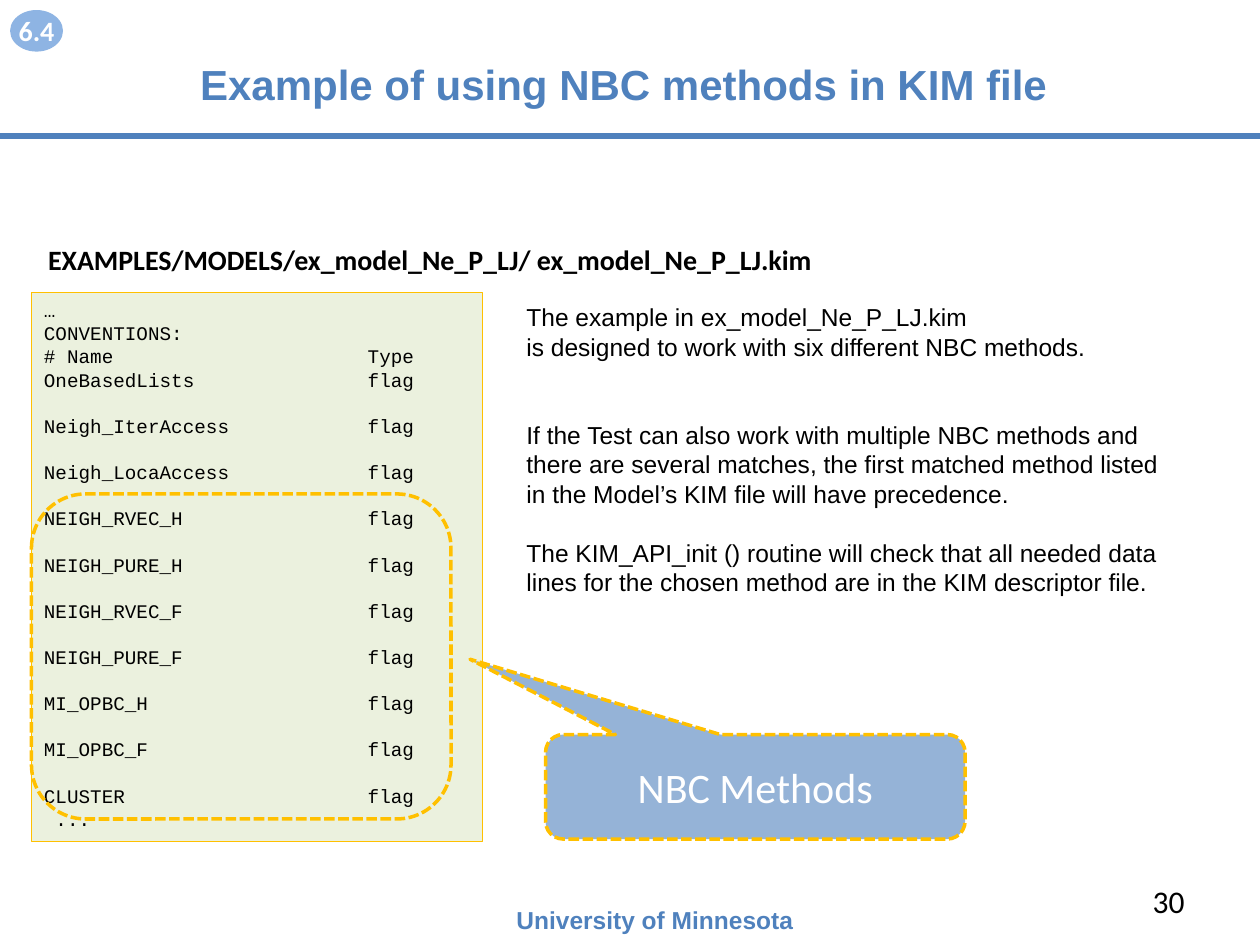
from dataclasses import dataclass

from lxml import etree
from pptx import Presentation
from pptx import util as u
from pptx.dml.color import RGBColor
from pptx.enum import dml, shapes, text
from pptx.oxml import ns

BLUE, GOLD, BLACK, WHITE = "4F81BD", "FFC000", "000000", "FFFFFF"
LEFT, CENTER, RIGHT = text.PP_ALIGN.LEFT, text.PP_ALIGN.CENTER, text.PP_ALIGN.RIGHT
TOP, MIDDLE = text.MSO_ANCHOR.TOP, text.MSO_ANCHOR.MIDDLE
CODE_PITCH, BODY_PITCH = 13.2, 16.8


@dataclass
class Style:
    font: str
    size: float
    color: str = BLACK
    bold: bool = False
    align: int = LEFT
    anchor: int = TOP
    pitch: float = 0


@dataclass
class Line:
    words: str
    blanks_before: int = 0


@dataclass
class Label:
    words: str
    box: tuple
    style: Style


def rgb(value: str) -> RGBColor:
    return RGBColor.from_string(value)


def write(shape, lines: list[Line], style: Style) -> None:
    frame = shape.text_frame
    frame.word_wrap = True
    frame.vertical_anchor = style.anchor
    for index, line in enumerate(lines):
        paragraph = frame.add_paragraph() if index else frame.paragraphs[0]
        paragraph.text = line.words
        paragraph.alignment = style.align
        if style.pitch:
            paragraph.line_spacing = u.Pt(style.pitch)
        if line.blanks_before:
            paragraph.space_before = u.Pt(style.pitch * line.blanks_before)
        for run in paragraph.runs:
            run.font.name = style.font
            run.font.size = u.Pt(style.size)
            run.font.bold = style.bold
            run.font.color.rgb = rgb(style.color)


def add_text(slide, box: tuple, lines: list[Line], style: Style) -> None:
    write(slide.shapes.add_textbox(*map(u.Inches, box)), lines, style)


def add_panel(slide, kind, box: tuple, fill: str = "", line: str = "",
              width: float = 2, dashed: bool = False):
    panel = slide.shapes.add_shape(kind, *map(u.Inches, box))
    panel.shadow.inherit = False
    if fill:
        panel.fill.solid()
        panel.fill.fore_color.rgb = rgb(fill)
    else:
        panel.fill.background()
    if line:
        panel.line.color.rgb = rgb(line)
        panel.line.width = u.Pt(width)
        if dashed:
            panel.line.dash_style = dml.MSO_LINE.SQUARE_DOT
    else:
        panel.line.fill.background()
    return panel


def add_tab_stop(paragraph, position: int) -> None:
    stops = etree.SubElement(paragraph._p.get_or_add_pPr(), ns.qn("a:tabLst"))
    etree.SubElement(stops, ns.qn("a:tab"), pos=str(position), algn="l")


def main() -> None:
    deck = Presentation()
    deck.slide_width, deck.slide_height = u.Inches(10), u.Inches(7.5)
    slide = deck.slides.add_slide(deck.slide_layouts[6])

    # Title rule
    rule = slide.shapes.add_connector(
        shapes.MSO_CONNECTOR.STRAIGHT, 0, u.Inches(1.08), u.Inches(10), u.Inches(1.08))
    rule.line.color.rgb = rgb(BLUE)
    rule.line.width = u.Pt(3)
    etree.SubElement(rule._element.spPr, ns.qn("a:effectLst"))

    # Title, footer, page number and file heading
    labels = [
        Label("Example of using NBC methods in KIM file", (0.45, 0.33, 9, 0.67),
              Style("Arial", 24, BLUE, True, CENTER, MIDDLE)),
        Label("University of Minnesota", (4, 7.13, 2.67, 0.34),
              Style("Arial", 14, BLUE, True)),
        Label("30", (7.17, 6.95, 2.33, 0.4),
              Style("Calibri", 18, align=RIGHT, anchor=MIDDLE)),
        Label("EXAMPLES/MODELS/ex_model_Ne_P_LJ/ ex_model_Ne_P_LJ.kim",
              (0.08, 1.88, 6.67, 0.37), Style("Calibri", 16, bold=True, align=CENTER)),
    ]
    for label in labels:
        add_text(slide, label.box, [Line(label.words)], label.style)

    # KIM file listing
    spaced_flags = ["Neigh_IterAccess", "Neigh_LocaAccess", "NEIGH_RVEC_H",
                    "NEIGH_PURE_H", "NEIGH_RVEC_F", "NEIGH_PURE_F",
                    "MI_OPBC_H", "MI_OPBC_F", "CLUSTER"]
    listing = [Line("…"), Line("CONVENTIONS:"), Line("# Name\tType"),
               Line("OneBasedLists\tflag"),
               *(Line(f"{flag}\tflag", 1) for flag in spaced_flags),
               Line(" ...")]
    kim_file = add_panel(slide, shapes.MSO_SHAPE.RECTANGLE, (0.25, 2.32, 3.58, 4.36),
                         "EBF1DE", GOLD, 0.75)
    write(kim_file, listing, Style("Courier New", 11, pitch=CODE_PITCH))
    for paragraph in kim_file.text_frame.paragraphs:
        if "\t" in paragraph.text:
            add_tab_stop(paragraph, u.Inches(2.57))

    # Explanation
    explanation = [
        Line("The example in ex_model_Ne_P_LJ.kim"),
        Line("is designed to work with six different NBC methods."),
        Line("If the Test can also work with multiple NBC methods and there are several "
             "matches, the first matched method listed in the Model’s KIM file will "
             "have precedence.", 2),
        Line("The KIM_API_init () routine will check that all needed data lines for "
             "the chosen method are in the KIM descriptor file.", 1),
    ]
    add_text(slide, (4.08, 2.35, 5.33, 3.4), explanation,
             Style("Arial", 14, pitch=BODY_PITCH))

    # Outline around the NBC methods and its callout
    add_panel(slide, shapes.MSO_SHAPE.ROUNDED_RECTANGLE, (0.25, 3.92, 3.33, 2.58),
              line=GOLD, dashed=True)
    callout = add_panel(slide, shapes.MSO_SHAPE.ROUNDED_RECTANGULAR_CALLOUT,
                        (4.33, 5.83, 3.33, 0.83), "95B3D7", GOLD, dashed=True)
    for index, value in enumerate((-0.68, -1.22, 0.17)):
        callout.adjustments[index] = value
    write(callout, [Line("NBC Methods")],
          Style("Calibri", 24, WHITE, align=CENTER, anchor=MIDDLE))

    # Section badge
    badge = add_panel(slide, shapes.MSO_SHAPE.OVAL, (0.08, 0.08, 0.42, 0.33), "8EB4E3")
    write(badge, [Line("6.4")], Style("Calibri", 16, WHITE, True, CENTER, MIDDLE))
    badge.text_frame.margin_left = badge.text_frame.margin_right = 0
    badge.text_frame.word_wrap = False

    deck.save("out.pptx")


if __name__ == "__main__":
    main()
